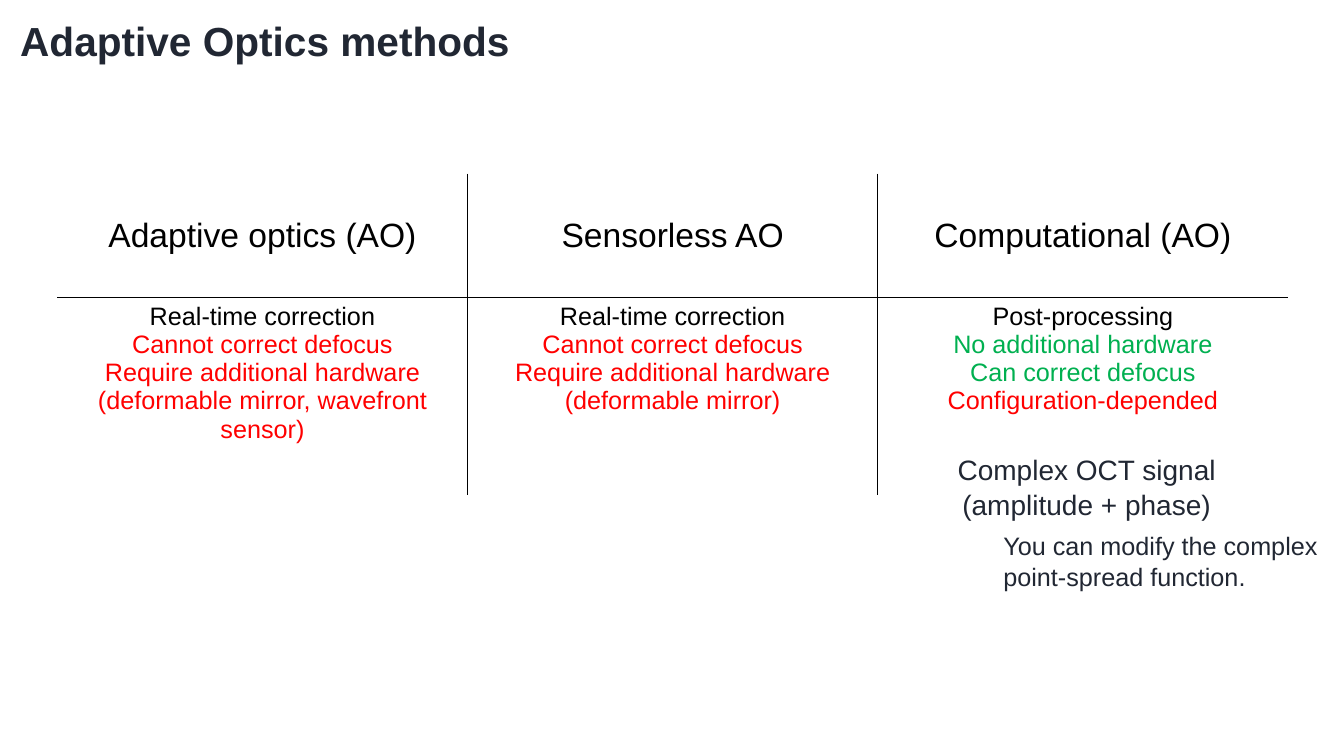
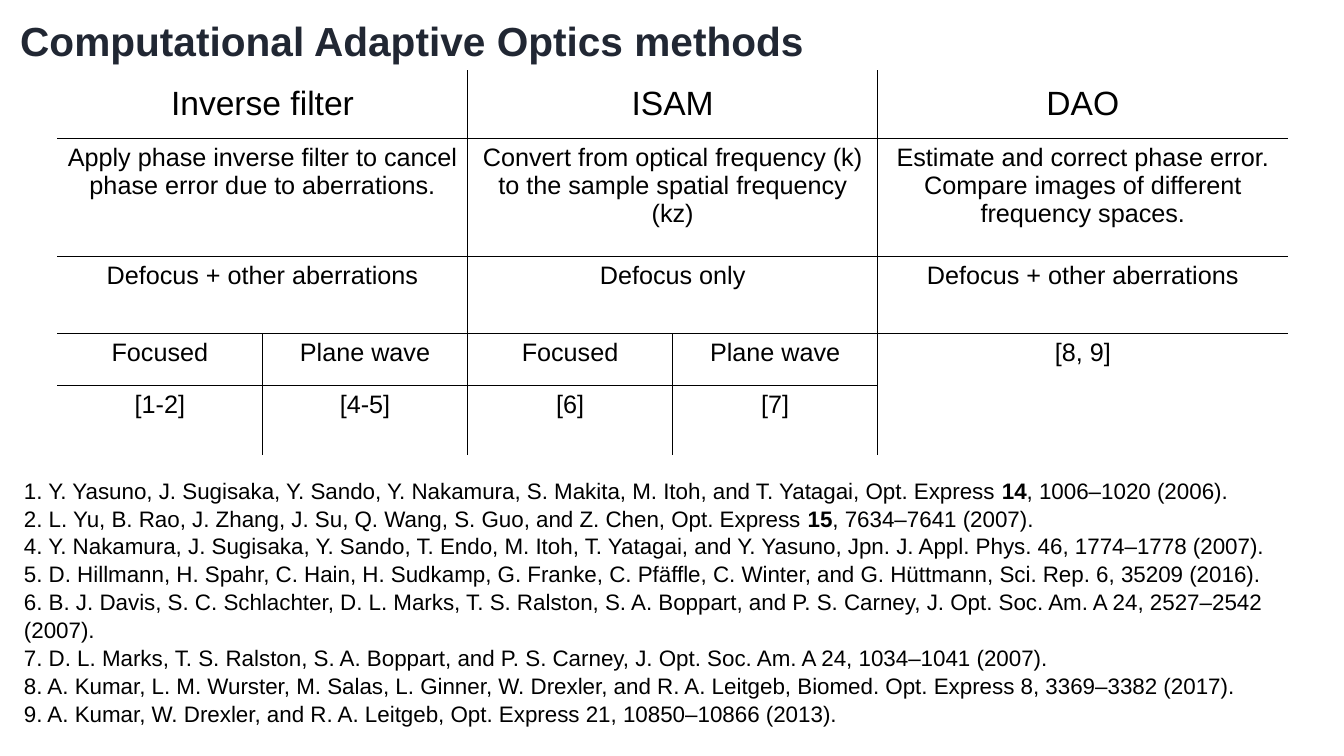
from dataclasses import dataclass
from typing import Any

from lxml.etree import SubElement
from pptx import Presentation
from pptx.dml.color import RGBColor
from pptx.enum.text import MSO_ANCHOR, MSO_AUTO_SIZE, PP_ALIGN
from pptx.oxml.ns import qn
from pptx.util import Pt

INK, BLACK, RED, GREEN = "212733", "000000", "FF0000", "00B050"
FONT = "Arial"
WIDE, HIGH = 960, 540
LEFT, THIRD = 41, 293
HEAD = {"size": Pt(24)}
BODY = {"size": Pt(18)}


@dataclass(frozen=True)
class Line:
    text: str
    hue: str = BLACK


@dataclass(frozen=True)
class Cell:
    row: int
    col: int
    lines: tuple[Line, ...]
    down: int = 1
    over: int = 1


@dataclass(frozen=True)
class Grid:
    top: float
    cols: tuple[float, ...]
    rows: tuple[float, ...]
    cells: tuple[Cell, ...]


@dataclass(frozen=True)
class Note:
    box: tuple[float, float, float, float]
    size: float
    lines: tuple[Line, ...]
    align: Any = PP_ALIGN.LEFT


@dataclass(frozen=True)
class Page:
    title: str
    width: float
    grid: Grid
    notes: tuple[Note, ...]


def paint(hue: str) -> RGBColor:
    return RGBColor.from_string(hue)


def put(item: Any, form: dict[str, Any]) -> None:
    for name, value in form.items():
        setattr(item, name, value)


def write(frame: Any, lines: tuple[Line, ...], font: dict[str, Any], para: dict[str, Any]) -> None:
    for num, line in enumerate(lines):
        part = frame.add_paragraph() if num else frame.paragraphs[0]
        put(part, para)
        for spot, text in enumerate(line.text.split("|")):
            run = part.add_run()
            run.text = text
            put(run.font, {"name": FONT, "bold": spot % 2 == 1, **font})
            run.font.color.rgb = paint(line.hue)


def edge(cell: Any, side: str, shown: bool) -> None:
    line = SubElement(cell._tc.get_or_add_tcPr(), qn(f"a:ln{side}"), w=str(Pt(1)))
    if shown:
        fill = SubElement(line, qn("a:solidFill"))
        SubElement(fill, qn("a:srgbClr"), val=BLACK)
    else:
        SubElement(line, qn("a:noFill"))


def add_grid(slide: Any, grid: Grid) -> None:
    deep, wide = len(grid.rows), len(grid.cols)
    frame = slide.shapes.add_table(
        deep, wide, Pt(LEFT), Pt(grid.top), Pt(sum(grid.cols)), Pt(sum(grid.rows)))
    table = frame.table
    put(table, {"first_row": False, "horz_banding": False})
    for col, width in zip(table.columns, grid.cols):
        col.width = Pt(width)
    for row, height in zip(table.rows, grid.rows):
        row.height = Pt(height)
    owner = {}
    for item in grid.cells:
        cell = table.cell(item.row, item.col)
        if item.down * item.over > 1:
            cell.merge(table.cell(item.row + item.down - 1, item.col + item.over - 1))
        for row in range(item.row, item.row + item.down):
            for col in range(item.col, item.col + item.over):
                owner[row, col] = item
        top = item.row == 0
        cell.vertical_anchor = MSO_ANCHOR.MIDDLE if top else MSO_ANCHOR.TOP
        write(cell.text_frame, item.lines, HEAD if top else BODY, {"alignment": PP_ALIGN.CENTER})
    for (row, col), item in owner.items():
        cell = table.cell(row, col)
        first = (row, col) == (item.row, item.col)
        down, over = (item.down, item.over) if first else (1, 1)
        near = {"L": (row, col - 1), "R": (row, col + over),
                "T": (row - 1, col), "B": (row + down, col)}
        for side, spot in near.items():
            edge(cell, side, owner.get(spot, item) is not item)
        cell.fill.background()


def add_note(slide: Any, note: Note) -> None:
    frame = slide.shapes.add_textbox(*map(Pt, note.box)).text_frame
    frame.word_wrap = True
    write(frame, note.lines, {"size": Pt(note.size)},
          {"alignment": note.align, "line_spacing": 1.04})


def add_page(deck: Any, page: Page) -> None:
    slide = deck.slides.add_slide(deck.slide_layouts[5])
    title = slide.shapes.title
    put(title, {"left": Pt(0), "top": Pt(10), "width": Pt(page.width), "height": Pt(40)})
    put(title.text_frame, {
        "margin_left": Pt(14.4), "margin_top": Pt(3.6), "word_wrap": True,
        "auto_size": MSO_AUTO_SIZE.NONE, "vertical_anchor": MSO_ANCHOR.TOP})
    write(title.text_frame, (Line(page.title, INK),), {"size": Pt(29), "bold": True},
          {"alignment": PP_ALIGN.LEFT, "line_spacing": 0.95})
    add_grid(slide, page.grid)
    for note in page.notes:
        add_note(slide, note)


def plain(*texts: str) -> tuple[Line, ...]:
    return tuple(Line(text) for text in texts)


LIVE = (Line("Real-time correction"), Line("Cannot correct defocus", RED))
NEED = "Require additional hardware "
METHODS = Page(
    "Adaptive Optics methods", 374,
    Grid(124, (THIRD,) * 3, (88.4, 141), (
        *(Cell(0, col, plain(text)) for col, text in enumerate(
            ("Adaptive optics (AO)", "Sensorless AO", "Computational (AO)"))),
        Cell(1, 0, (*LIVE, Line(NEED + "(deformable mirror, wavefront sensor)", RED))),
        Cell(1, 1, (*LIVE, Line(NEED + "(deformable mirror)", RED))),
        Cell(1, 2, (Line("Post-processing"), Line("No additional hardware", GREEN),
                    Line("Can correct defocus", GREEN), Line("Configuration-depended", RED))),
    )),
    (
        Note((672.5, 319, 207.5, 55.4), 20,
             (Line("Complex OCT signal (amplitude + phase)", INK),), PP_ALIGN.CENTER),
        Note((709.6, 374.4, 243.4, 51), 18,
             (Line("You can modify the complex point-spread function.", INK),)),
    ))

WAYS = (
    (plain("Inverse filter"), plain("ISAM"), plain("DAO")),
    (plain("Apply phase inverse filter to cancel phase error due to aberrations."),
     plain("Convert from optical frequency (k) to the sample spatial frequency (kz)"),
     plain("Estimate and correct phase error.", "Compare images of different frequency spaces.")),
    (plain("Defocus + other aberrations"), plain("Defocus only"),
     plain("Defocus + other aberrations")),
)
KINDS = (("Focused", "Plane wave") * 2, ("[1-2]", "[4-5]", "[6]", "[7]"))
WORKS = plain(
    "1. Y. Yasuno, J. Sugisaka, Y. Sando, Y. Nakamura, S. Makita, M. Itoh, and T. Yatagai, Opt. Express |14|, 1006–1020 (2006).",
    "2. L. Yu, B. Rao, J. Zhang, J. Su, Q. Wang, S. Guo, and Z. Chen, Opt. Express |15|, 7634–7641 (2007).",
    "4. Y. Nakamura, J. Sugisaka, Y. Sando, T. Endo, M. Itoh, T. Yatagai, and Y. Yasuno, Jpn. J. Appl. Phys. 46, 1774–1778 (2007).",
    "5. D. Hillmann, H. Spahr, C. Hain, H. Sudkamp, G. Franke, C. Pfäffle, C. Winter, and G. Hüttmann, Sci. Rep. 6, 35209 (2016).",
    "6. B. J. Davis, S. C. Schlachter, D. L. Marks, T. S. Ralston, S. A. Boppart, and P. S. Carney, J. Opt. Soc. Am. A 24, 2527–2542 (2007).",
    "7. D. L. Marks, T. S. Ralston, S. A. Boppart, and P. S. Carney, J. Opt. Soc. Am. A 24, 1034–1041 (2007).",
    "8. A. Kumar, L. M. Wurster, M. Salas, L. Ginner, W. Drexler, and R. A. Leitgeb, Biomed. Opt. Express 8, 3369–3382 (2017).",
    "9. A. Kumar, W. Drexler, and R. A. Leitgeb, Opt. Express 21, 10850–10866 (2013).",
)
FILTERS = Page(
    "Computational Adaptive Optics methods", 587,
    Grid(50, (THIRD / 2,) * 4 + (THIRD,), (48.8, 84.4, 55.2, 37, 49.6), (
        *(Cell(row, 2 * num, lines, over=1 if num == 2 else 2)
          for row, ways in enumerate(WAYS) for num, lines in enumerate(ways)),
        *(Cell(row, col, plain(text))
          for row, kinds in enumerate(KINDS, 3) for col, text in enumerate(kinds)),
        Cell(3, 4, plain("[8, 9]"), down=2),
    )),
    (Note((10, 336.2, 942.5, 181.4), 16, WORKS),))


def main() -> None:
    deck = Presentation()
    put(deck, {"slide_width": Pt(WIDE), "slide_height": Pt(HIGH)})
    for page in (METHODS, FILTERS):
        add_page(deck, page)
    deck.save("out.pptx")


if __name__ == "__main__":
    main()
